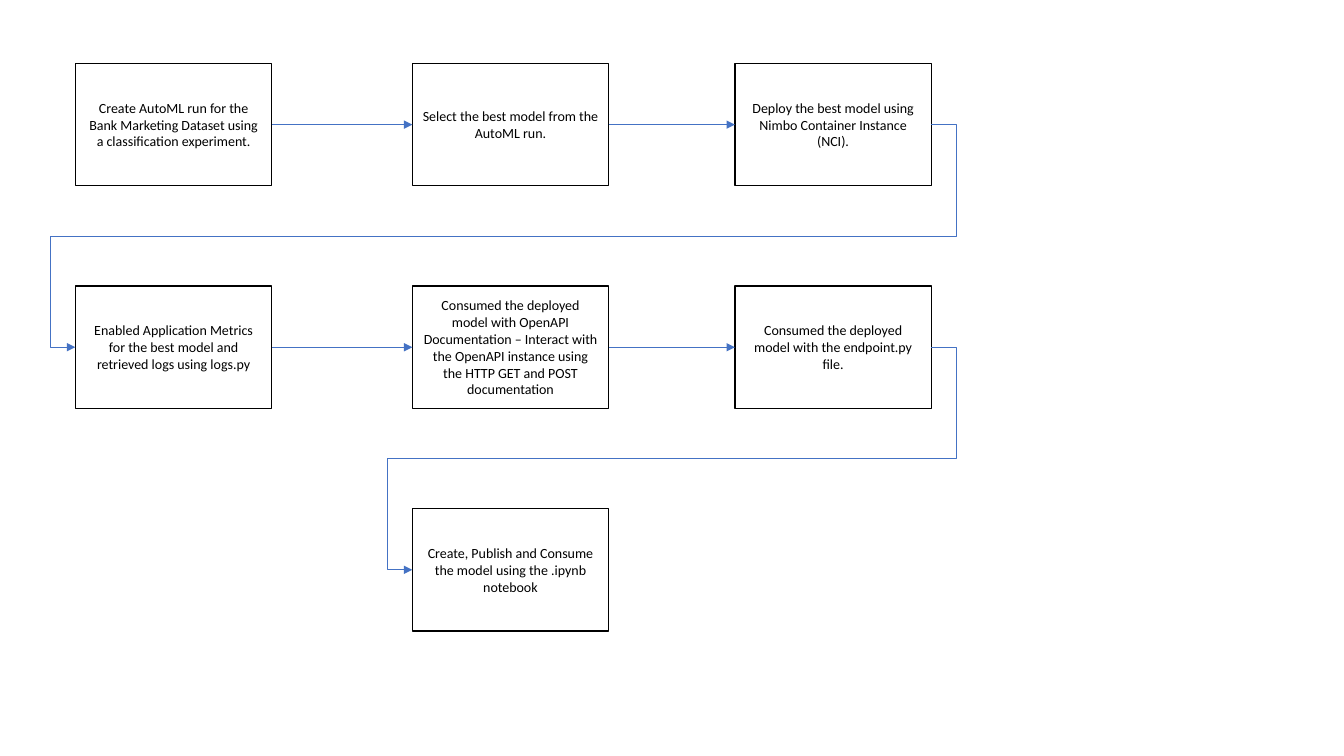
from lxml.etree import SubElement
from pptx import Presentation
from pptx.dml.color import RGBColor
from pptx.enum.shapes import MSO_CONNECTOR, MSO_SHAPE
from pptx.enum.text import MSO_ANCHOR, PP_ALIGN
from pptx.oxml.ns import qn
from pptx.util import Cm, Pt

COLORS = {"text": "000000", "border": "000000", "arrow": "4472C4"}
COLUMNS = [1.9, 10.39, 18.52]
TOP, ROW_STEP = 1.6, 5.61
BOX_WIDTH, BOX_HEIGHT = 4.95, 3.08
ELBOW_REACH = 0.63
RIGHT_SIDE, LEFT_SIDE = 3, 1

# Column, row and wording, in the order of the workflow
STEPS = [
    (0, 0, "Create AutoML run for the Bank Marketing Dataset using a classification experiment."),
    (1, 0, "Select the best model from the AutoML run."),
    (2, 0, "Deploy the best model using Nimbo Container Instance (NCI)."),
    (0, 1, "Enabled Application Metrics for the best model and retrieved logs using logs.py"),
    (1, 1, "Consumed the deployed model with OpenAPI Documentation – Interact with "
           "the OpenAPI instance using the HTTP GET and POST documentation"),
    (2, 1, "Consumed the deployed model with the endpoint.py file."),
    (1, 2, "Create, Publish and Consume the model using the .ipynb notebook"),
]


def write_text(shape, text, size=10, font="Calibri", color="text", align=PP_ALIGN.CENTER):
    frame = shape.text_frame
    frame.word_wrap = True
    frame.vertical_anchor = MSO_ANCHOR.MIDDLE
    paragraph = frame.paragraphs[0]
    paragraph.alignment = align
    run = paragraph.add_run()
    run.text = text
    run.font.size = Pt(size)
    run.font.name = font
    run.font.color.rgb = RGBColor.from_string(COLORS[color])


def join_boxes(slide, start, end):
    """Draw an arrow between boxes, bent around their sides when the row changes."""
    same_row = start.top == end.top
    kind = MSO_CONNECTOR.STRAIGHT if same_row else MSO_CONNECTOR.ELBOW
    arrow = slide.shapes.add_connector(kind, 0, 0, 0, 0)
    arrow.begin_connect(start, RIGHT_SIDE)
    arrow.end_connect(end, LEFT_SIDE)
    arrow.line.color.rgb = RGBColor.from_string(COLORS["arrow"])
    arrow.line.width = Pt(0.5)
    properties = arrow._element.spPr
    SubElement(properties.find(qn("a:ln")), qn("a:tailEnd"), type="triangle")
    SubElement(properties, qn("a:effectLst"))
    if not same_row:
        geometry = properties.find(qn("a:prstGeom"))
        geometry.set("prst", "bentConnector5")
        adjustments = geometry.find(qn("a:avLst"))
        reach = round(100000 * Cm(ELBOW_REACH) / arrow.width)
        for number, value in enumerate([-reach, 50000, 100000 + reach], start=1):
            SubElement(adjustments, qn("a:gd"), name=f"adj{number}", fmla=f"val {value}")


presentation = Presentation()
presentation.slide_width = Cm(33.87)
presentation.slide_height = Cm(19.05)
slide = presentation.slides.add_slide(presentation.slide_layouts[6])

boxes = []
for column, row, text in STEPS:
    box = slide.shapes.add_shape(
        MSO_SHAPE.RECTANGLE,
        Cm(COLUMNS[column]), Cm(TOP + row * ROW_STEP), Cm(BOX_WIDTH), Cm(BOX_HEIGHT),
    )
    box.shadow.inherit = False
    box.fill.background()
    box.line.color.rgb = RGBColor.from_string(COLORS["border"])
    box.line.width = Pt(1)
    write_text(box, text)
    boxes.append(box)

for start, end in zip(boxes, boxes[1:]):
    join_boxes(slide, start, end)

presentation.save("out.pptx")
